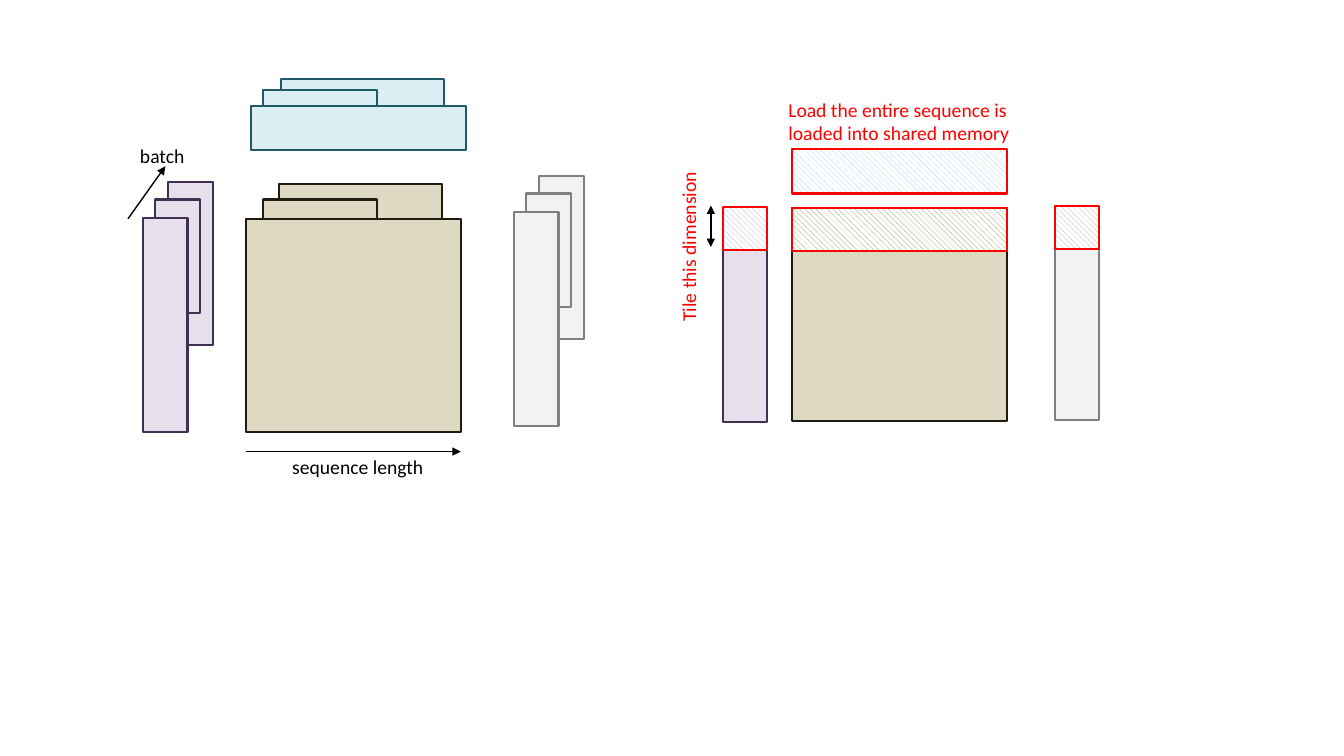
from dataclasses import dataclass

from lxml import etree
from pptx import Presentation
from pptx.dml.color import RGBColor
from pptx.enum.dml import MSO_PATTERN
from pptx.enum.shapes import MSO_CONNECTOR, MSO_SHAPE
from pptx.enum.text import MSO_AUTO_SIZE
from pptx.oxml.ns import qn
from pptx.slide import Slide
from pptx.util import Emu, Pt

RECTANGLE = MSO_SHAPE.RECTANGLE
STRAIGHT = MSO_CONNECTOR.STRAIGHT
HATCHING = MSO_PATTERN.WIDE_DOWNWARD_DIAGONAL
GROW = MSO_AUTO_SIZE.SHAPE_TO_FIT_TEXT

BLACK = RGBColor(0x00, 0x00, 0x00)
WHITE = RGBColor(0xFF, 0xFF, 0xFF)
RED = RGBColor(0xFF, 0x00, 0x00)
TAN = RGBColor(0xDD, 0xD9, 0xC3)
TAN_EDGE = RGBColor(0x1E, 0x1C, 0x11)
PURPLE = RGBColor(0xE6, 0xE0, 0xEC)
PURPLE_EDGE = RGBColor(0x40, 0x31, 0x52)
BLUE = RGBColor(0xDB, 0xEE, 0xF4)
BLUE_EDGE = RGBColor(0x21, 0x59, 0x68)
GREY = RGBColor(0xF2, 0xF2, 0xF2)
GREY_EDGE = RGBColor(0x80, 0x80, 0x80)
BLUE_HATCH = RGBColor(0x93, 0xCD, 0xDD)
PURPLE_HATCH = RGBColor(0xB3, 0xA2, 0xC7)
GREEN_HATCH = RGBColor(0x77, 0x93, 0x3C)
GREY_HATCH = RGBColor(0xA6, 0xA6, 0xA6)

THIN = 44
LONG = 213
SIDE = 212
TILE = 43
COLUMN_LAYERS = ((25, -35, 161), (12, -18, 113), (0, 0, LONG))


@dataclass(frozen=True)
class Block:
    left: int
    top: int
    width: int
    height: int
    color: RGBColor
    edge: RGBColor
    hatched: bool = False


@dataclass(frozen=True)
class Arrow:
    start: tuple[int, int]
    end: tuple[int, int]
    weight: float = 1
    double: bool = False


def px(length: int) -> Emu:
    return Emu(length * 9144)


def column_stack(left: int, top: int, color: RGBColor, edge: RGBColor) -> list[Block]:
    return [Block(left + right, top + down, THIN, height, color, edge)
            for right, down, height in COLUMN_LAYERS]


def add_block(page: Slide, block: Block) -> None:
    box = page.shapes.add_shape(RECTANGLE, px(block.left), px(block.top),
                                px(block.width), px(block.height))
    box.shadow.inherit = False
    if block.hatched:
        box.fill.patterned()
        box.fill.pattern = HATCHING
        box.fill.fore_color.rgb = block.color
        box.fill.back_color.rgb = WHITE
    else:
        box.fill.solid()
        box.fill.fore_color.rgb = block.color
    box.line.color.rgb = block.edge
    box.line.width = Pt(1.5)


def add_arrow(page: Slide, arrow: Arrow) -> None:
    connector = page.shapes.add_connector(STRAIGHT, *map(px, arrow.start + arrow.end))
    connector.line.color.rgb = BLACK
    connector.line.width = Pt(arrow.weight)
    properties = connector.element.spPr
    line = properties.find(qn("a:ln"))
    for tip in ("a:headEnd", "a:tailEnd") if arrow.double else ("a:tailEnd",):
        etree.SubElement(line, qn(tip), type="triangle")
    etree.SubElement(properties, qn("a:effectLst"))


def add_label(page: Slide, text: str, *, left: int, top: int, width: int, height: int,
              color: RGBColor = BLACK, upward: bool = False) -> None:
    box = page.shapes.add_textbox(px(left), px(top), px(width), px(height))
    frame = box.text_frame
    frame.word_wrap = True
    frame.auto_size = GROW
    if upward:
        box.element.find(qn("p:txBody")).find(qn("a:bodyPr")).set("vert", "vert270")
    span = frame.paragraphs[0].add_run()
    span.text = text
    span.font.name = "Calibri"
    span.font.size = Pt(14)
    span.font.color.rgb = color


BLOCKS = [
    Block(277, 183, 161, 160, TAN, TAN_EDGE),
    Block(261, 198, 113, 113, TAN, TAN_EDGE),
    *column_stack(142, 216, PURPLE, PURPLE_EDGE),
    Block(279, 78, 161, THIN, BLUE, BLUE_EDGE),
    Block(261, 89, 113, THIN, BLUE, BLUE_EDGE),
    Block(249, 105, LONG, THIN, BLUE, BLUE_EDGE),
    *column_stack(510, 210, GREY, GREY_EDGE),
    Block(244, 217, LONG, SIDE, TAN, TAN_EDGE),
    Block(717, 206, THIN, LONG, PURPLE, PURPLE_EDGE),
    Block(1046, 204, THIN, LONG, GREY, GREY_EDGE),
    Block(786, 206, LONG, SIDE, TAN, TAN_EDGE),
    Block(786, 148, LONG, THIN, BLUE_HATCH, RED, hatched=True),
    Block(717, 205, THIN, TILE, PURPLE_HATCH, RED, hatched=True),
    Block(786, 206, LONG, TILE, GREEN_HATCH, RED, hatched=True),
    Block(1046, 204, THIN, TILE, GREY_HATCH, RED, hatched=True),
]

ARROWS = [
    Arrow((127, 217), (164, 165)),
    Arrow((244, 448), (457, 448)),
    Arrow((705, 204), (705, 245), weight=1.5, double=True),
]


def main() -> None:
    deck = Presentation()
    deck.slide_width, deck.slide_height = px(1333), px(750)
    page = deck.slides.add_slide(deck.slide_layouts[6])
    for block in BLOCKS:
        add_block(page, block)
    for arrow in ARROWS:
        add_arrow(page, arrow)
    add_label(page, "batch", left=129, top=138, width=80, height=34)
    add_label(page, "sequence length", left=280, top=446, width=163, height=34)
    add_label(page, "Tile this dimension", left=666, top=160, width=44, height=169,
              color=RED, upward=True)
    add_label(page, "Load the entire sequence is loaded into shared memory",
              left=772, top=92, width=253, height=57, color=RED)
    deck.save("out.pptx")


if __name__ == "__main__":
    main()
